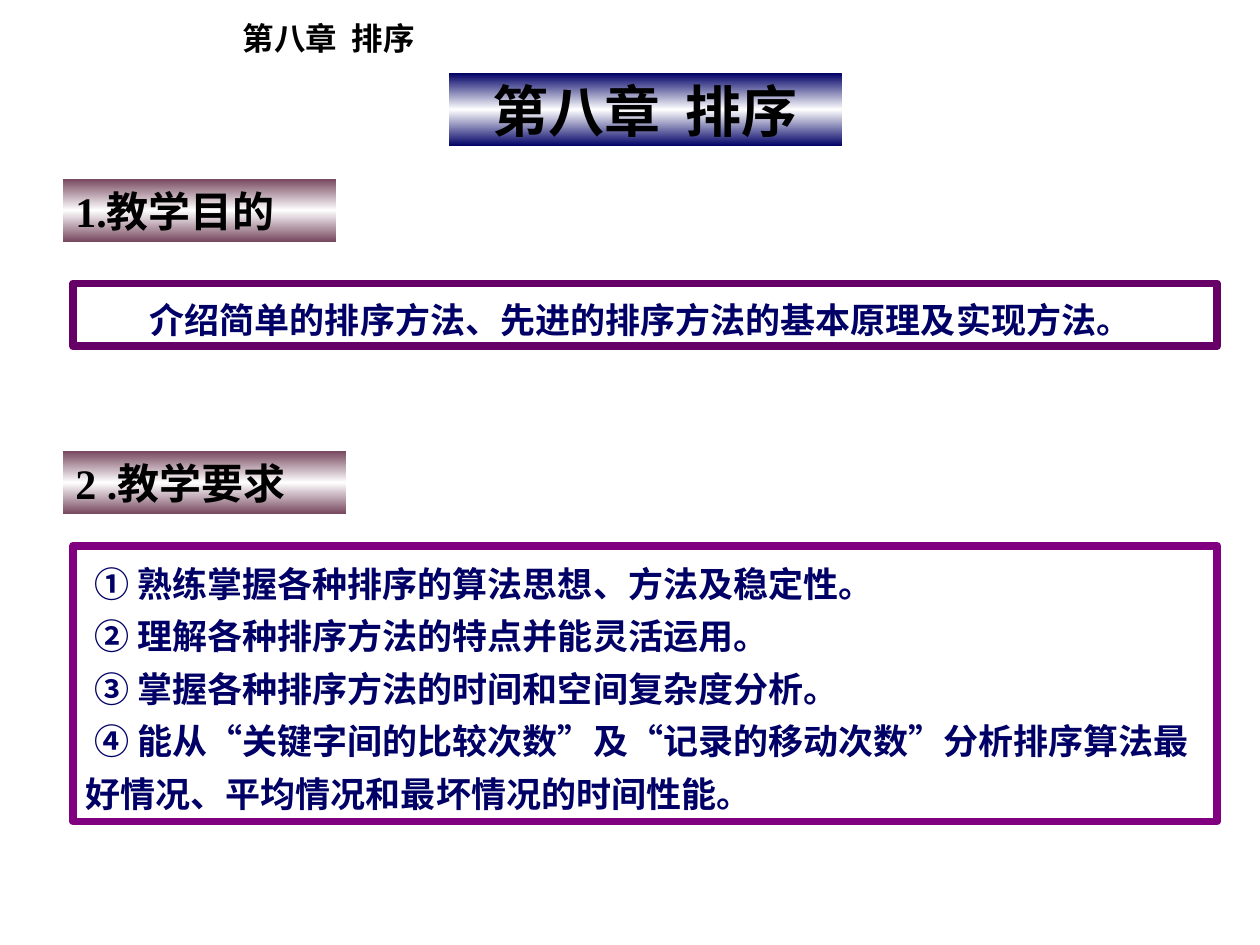
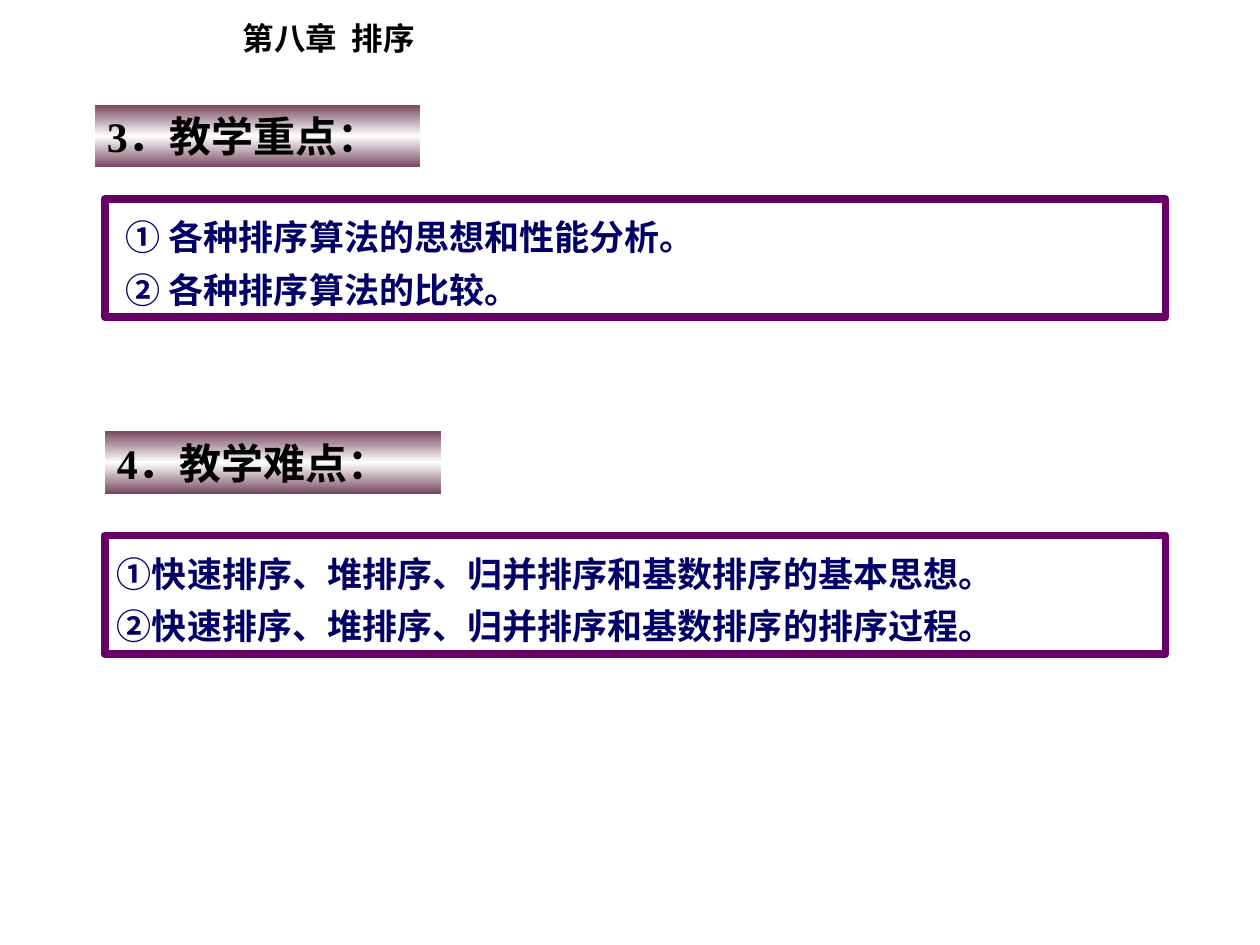
from copy import deepcopy
from pptx import Presentation
from pptx.dml.color import RGBColor
from pptx.enum.lang import MSO_LANGUAGE_ID
from pptx.enum.shapes import MSO_SHAPE
from pptx.enum.text import MSO_ANCHOR, PP_ALIGN
from pptx.util import Inches, Pt

RECT = MSO_SHAPE.RECTANGLE
TOP, MID = MSO_ANCHOR.TOP, MSO_ANCHOR.MIDDLE
LEFT, MIDDLE = PP_ALIGN.LEFT, PP_ALIGN.CENTER
LANG = MSO_LANGUAGE_ID.SIMPLIFIED_CHINESE
FONT = "Times New Roman"
COLORS = {"black": "000000", "white": "FFFFFF", "navy": "000066",
          "mauve": "76475E", "plum": "660066", "purple": "800080"}
CHAPTER = "第八章  排序"
STEP = 0.07


def rgb(name):
    return RGBColor.from_string(COLORS[name])


def write(shape, lines, size, color="black", space=None, indent=0,
          align=LEFT, anchor=TOP):
    frame = shape.text_frame
    frame.word_wrap = True
    frame.vertical_anchor = anchor
    for i, line in enumerate(lines):
        para = frame.paragraphs[0] if i == 0 else frame.add_paragraph()
        para.alignment = align
        if space:
            para.line_spacing = space
        if indent:
            para._p.get_or_add_pPr().set("indent", str(Inches(indent)))
        run = para.add_run()
        run.text = line
        font = run.font
        font.name, font.size, font.bold = FONT, Pt(size), True
        font.color.rgb = rgb(color)
        font.language_id = LANG


PAGES = [
    {
        "bands": [
            (0.5, 1.42, 2.17, 0.5, "mauve", "1.教学目的", 24, LEFT, TOP),
            (0.5, 3.58, 2.25, 0.5, "mauve", "2 .教学要求", 24, LEFT, TOP),
            (3.56, 0.58, 3.12, 0.58, "navy", CHAPTER, 32, MIDDLE, MID),
        ],
        "frames": [
            (0.58, 2.25, 9.08, 0.5, "plum", 1.2, 0.51, [
                "介绍简单的排序方法、先进的排序方法的基本原理及实现方法。"]),
            (0.58, 4.33, 9.08, 2.19, "purple", 1.25, STEP, [
                "① 熟练掌握各种排序的算法思想、方法及稳定性。",
                "② 理解各种排序方法的特点并能灵活运用。",
                "③ 掌握各种排序方法的时间和空间复杂度分析。",
                "④ 能从“关键字间的比较次数”及“记录的移动次数”分析排序算法最 "
                "好情况、平均情况和最坏情况的时间性能。"]),
        ],
    },
    {
        "bands": [
            (0.75, 0.83, 2.58, 0.5, "mauve", "3．教学重点：", 24, LEFT, TOP),
            (0.83, 3.42, 2.67, 0.5, "mauve", "4．教学难点：", 24, LEFT, TOP),
        ],
        "frames": [
            (0.83, 1.58, 8.42, 0.94, "plum", 1.25, STEP, [
                "① 各种排序算法的思想和性能分析。",
                "② 各种排序算法的比较。"]),
            (0.83, 4.25, 8.42, 0.94, "plum", 1.25, 0, [
                "①快速排序、堆排序、归并排序和基数排序的基本思想。",
                "②快速排序、堆排序、归并排序和基数排序的排序过程。"]),
        ],
    },
]

deck = Presentation()
deck.slide_width, deck.slide_height = Inches(10), Inches(7.5)
blank = deck.slide_layouts[6]

for page in PAGES:
    slide = deck.slides.add_slide(blank)
    shapes = slide.shapes
    head = shapes.add_textbox(*map(Inches, (1.83, 0.1, 1.67, 0.7)))
    write(head, [CHAPTER], 18)

    for *area, edge, text, size, align, anchor in page["bands"]:
        band = shapes.add_shape(RECT, *map(Inches, area))
        band.shadow.inherit = False
        band.line.fill.background()
        band.fill.gradient()
        band.fill.gradient_angle = 270
        stops = band.fill.gradient_stops
        first = stops[0]._gs
        first.addnext(deepcopy(first))
        for i, name in enumerate((edge, "white", edge)):
            stop = band.fill.gradient_stops[i]
            stop.color.rgb = rgb(name)
            stop.position = i / 2
        write(band, [text], size, align=align, anchor=anchor)

    for *area, edge, space, indent, lines in page["frames"]:
        box = shapes.add_shape(RECT, *map(Inches, area))
        box.shadow.inherit = False
        box.fill.background()
        box.line.color.rgb = rgb(edge)
        box.line.width = Pt(4.5)
        write(box, lines, 20, "navy", space, indent)

deck.save("out.pptx")
